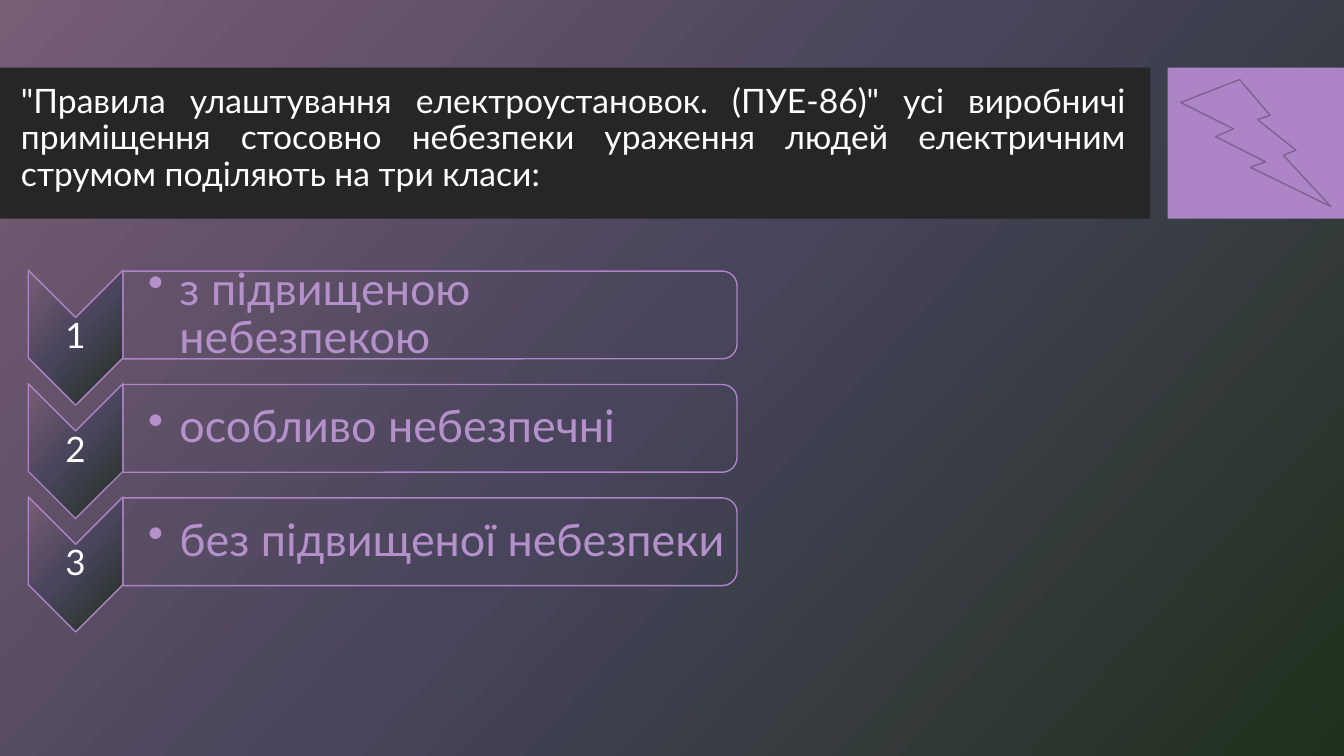
from lxml import etree
from pptx import Presentation
from pptx.dml.color import RGBColor
from pptx.enum.shapes import MSO_SHAPE
from pptx.enum.text import MSO_ANCHOR, PP_ALIGN
from pptx.oxml.ns import qn
from pptx.util import Inches, Pt

RECT = MSO_SHAPE.RECTANGLE
BOLT = MSO_SHAPE.LIGHTNING_BOLT
CHEVRON = MSO_SHAPE.CHEVRON
ROUND = MSO_SHAPE.ROUND_2_SAME_RECTANGLE
TOP, MIDDLE = MSO_ANCHOR.TOP, MSO_ANCHOR.MIDDLE
LEFT, CENTER, JUSTIFY = PP_ALIGN.LEFT, PP_ALIGN.CENTER, PP_ALIGN.JUSTIFY

COLORS = {
    "band": "262626",
    "lilac": "AD84C6",
    "edge": "806292",
    "label": "B591CB",
    "white": "FFFFFF",
    "rose": "785D75",
    "slate": "47445B",
    "moss": "20301C",
}
STOPS = ((0, "rose"), (50, "slate"), (100, "moss"))
TITLE = (
    '"Правила улаштування електроустановок. (ПУЕ-86)" усі виробничі '
    "приміщення стосовно небезпеки ураження людей електричним струмом "
    "поділяють на три класи:"
)
CLASSES = ("з підвищеною небезпекою", "особливо небезпечні", "без підвищеної небезпеки")
COLS, ROWS = 133.33, 75
STEP = 11.25


class Deck:
    font = "Lato"

    def __init__(self):
        self.file = Presentation()
        self.file.slide_width = Inches(13.33)
        self.file.slide_height = Inches(7.5)
        self.cell = Inches(7.5) / ROWS
        self.slide = self.file.slides.add_slide(self.file.slide_layouts[6])

    def grid(self, *cells):
        return [round(cell * self.cell) for cell in cells]

    def color(self, name):
        return RGBColor.from_string(COLORS[name])

    def blend(self, fill, node):
        fill.gradient()
        fill.gradient_angle = 360 - 42
        grad = node.find(".//" + qn("a:gradFill"))
        grad.set("rotWithShape", "0")
        stops = grad.find(qn("a:gsLst"))
        for stop in list(stops):
            stops.remove(stop)
        for share, name in STOPS:
            stop = etree.SubElement(stops, qn("a:gs"), pos=str(share * 1000))
            etree.SubElement(stop, qn("a:srgbClr"), val=COLORS[name])

    def backdrop(self):
        fill = self.slide.background.fill
        self.blend(fill, self.slide.element)

    def shape(self, kind, box, fill=None, line=None, turn=0):
        item = self.slide.shapes.add_shape(kind, *self.grid(*box))
        item.shadow.inherit = False
        item.rotation = turn
        if fill == "blend":
            self.blend(item.fill, item.element)
        elif fill:
            item.fill.solid()
            item.fill.fore_color.rgb = self.color(fill)
        else:
            item.fill.background()
        if line:
            item.line.color.rgb = self.color(line)
            item.line.width = Pt(1)
        else:
            item.line.fill.background()

    def text(self, words, box, size, color, align, anchor=MIDDLE, pad=(0.2, 0.2, 0.2)):
        frame = self.slide.shapes.add_textbox(*self.grid(*box)).text_frame
        frame.word_wrap = True
        frame.vertical_anchor = anchor
        frame.margin_left, frame.margin_right, frame.margin_top = self.grid(*pad)
        frame.margin_bottom = frame.margin_top
        frame.text = words
        para = frame.paragraphs[0]
        para.alignment = align
        para.line_spacing = 0.9
        font = para.runs[0].font
        font.name = self.font
        font.size = Pt(size)
        font.color.rgb = self.color(color)
        return para

    def bullet(self, para, indent):
        props = para._p.get_or_add_pPr()
        width = self.grid(indent)[0]
        props.set("marL", str(width))
        props.set("indent", str(-width))
        etree.SubElement(props, qn("a:buChar"), char="•")

    def header(self):
        self.shape(RECT, (0, 6.7, 114.1, 15), "band")
        self.shape(RECT, (115.8, 6.7, COLS - 115.8, 15), "lilac")
        para = self.text(TITLE, (1.1, 7.9, 111.5, 47.6), 24, "white", JUSTIFY, TOP, (1, 1, 0.5))
        para.space_before = Pt(10)
        self.shape(BOLT, (117.1, 7.9, 14.9, 12.6), "lilac", "edge")

    def entry(self, index, label):
        drop = index * STEP
        self.shape(CHEVRON, (0.8, 28.8 + drop, 13.4, 9.4), "blend", "lilac", 90)
        self.text(str(index + 1), (2.8, 31.5 + drop, 9.4, 4), 25, "white", CENTER)
        self.shape(ROUND, (38.3, 0.8 + drop, 8.7, 60.9), None, "lilac", 90)
        para = self.text(label, (12.2, 27.3 + drop, 60.2, 7.9), 32, "label", LEFT, pad=(2.5, 0.2, 0.2))
        self.bullet(para, 3.1)


def main():
    deck = Deck()
    deck.backdrop()
    deck.header()
    for index, label in enumerate(CLASSES):
        deck.entry(index, label)
    deck.file.save("out.pptx")


if __name__ == "__main__":
    main()
